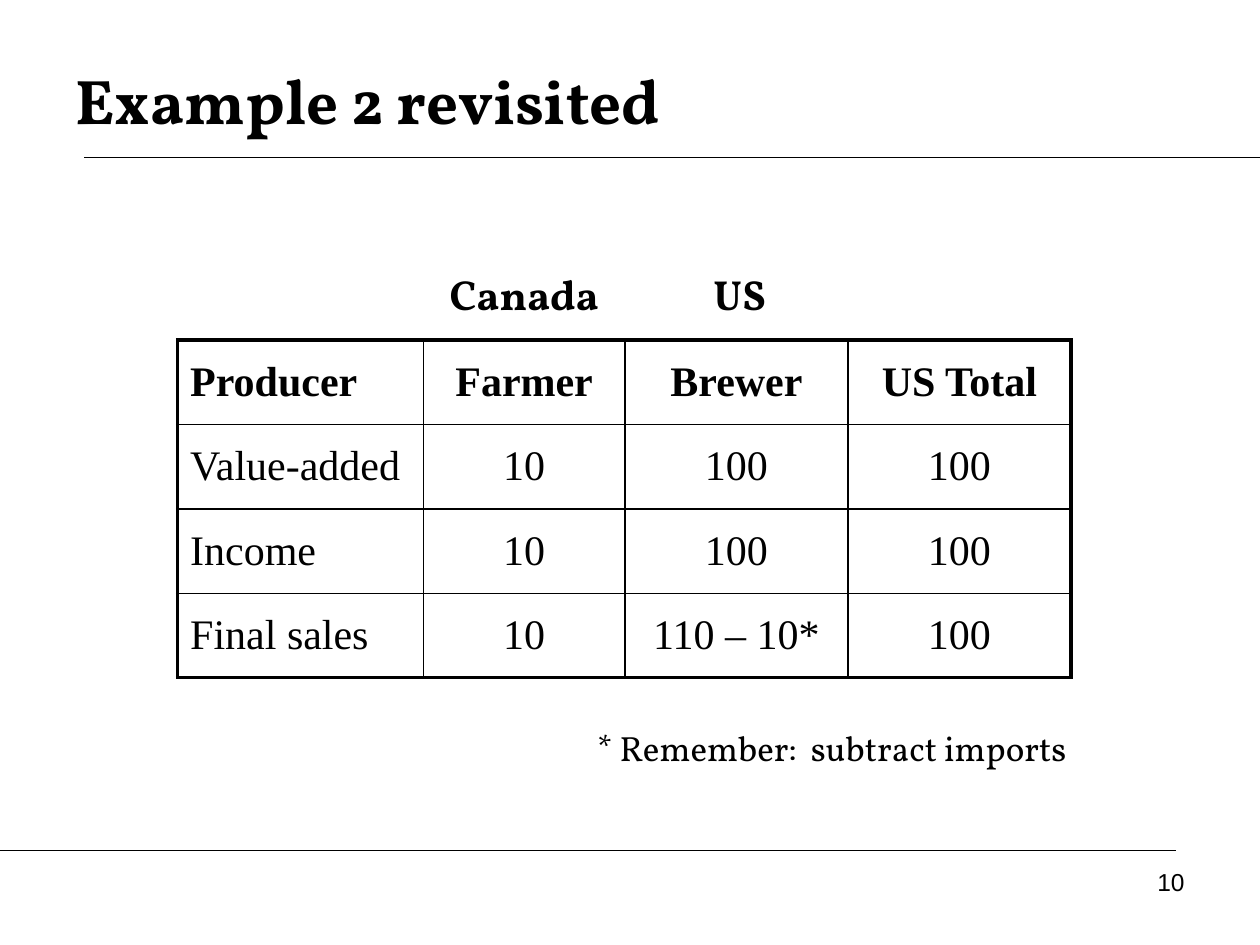
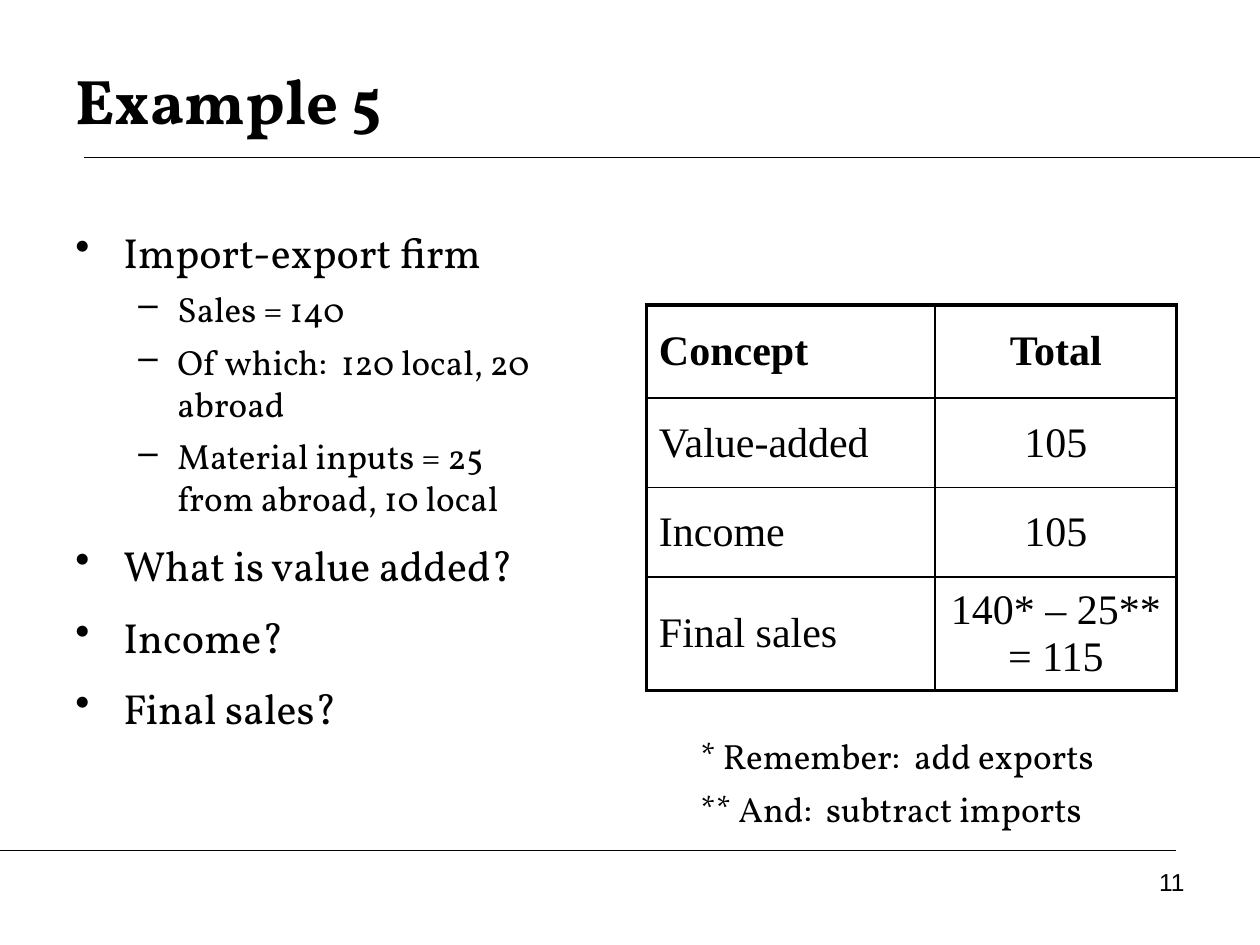
import pptx
import pptx.dml.color
import pptx.enum.shapes
import pptx.enum.text
import pptx.oxml.ns
import pptx.util
from lxml import etree
from pptx.util import Inches

# Content: positions and sizes are in inches
SLIDES = [
    {
        "title": "Example 2 revisited",
        "number": "10",
        "table": {
            "left": 1.41, "top": 2.7,
            "columns": [1.95, 1.6, 1.77, 1.77],
            "rows": [0.67] * 4,
            "cells": [
                ["Producer", "Farmer", "Brewer", "US Total"],
                ["Value-added", "10", "100", "100"],
                ["Income", "10", "100", "100"],
                ["Final sales", "10", "110 – 10*", "100"],
            ],
        },
        "countries": [("Canada", 3.37), ("US", 5.08)],
        "notes": ["* Remember:  subtract imports"],
        "notes_box": (4.64, 5.72, 4.08, 0.44),
    },
    {
        "title": "Example 5",
        "number": "11",
        "bullets": [
            (0, "Import-export firm"),
            (1, "Sales = 140"),
            (1, "Of which:  120 local, 20 abroad"),
            (1, "Material inputs = 25 from abroad, 10 local"),
            (0, "What is value added?"),
            (0, "Income?"),
            (0, "Final sales?"),
        ],
        "table": {
            "left": 5.13, "top": 2.42,
            "columns": [2.29, 1.92],
            "rows": [0.74, 0.71, 0.71, 0.84],
            "cells": [
                ["Concept", "Total"],
                ["Value-added", "105"],
                ["Income", "105"],
                ["Final sales", "140* – 25** = 115"],
            ],
        },
        "notes": ["* Remember:  add exports", "** And:  subtract imports"],
        "notes_box": (5.46, 5.78, 4.08, 0.85),
    },
]

# Shared style
BLACK = pptx.dml.color.RGBColor(0, 0, 0)
TEXT_FONT, TABLE_FONT, NUMBER_FONT = "Vollkorn", "Times New Roman", "Arial"
TITLE_BOX = (0.5, 0.33, 9, 0.92)
BODY_BOX = (0.5, 1.75, 4.08, 4.95)
NUMBER_BOX = (7.17, 6.83, 2.33, 0.52)
RULES = [(0.67, 1.25, 10, 1.25), (0, 6.75, 9.33, 6.75)]
OUTER_BORDER, INNER_BORDER = 2.25, 1
# Per level: bullet, left margin, hanging indent, text size, space before
BULLET_LEVELS = [("•", 0.38, 0.38, 24, 12), ("–", 0.81, 0.31, 20, 6)]

ALIGN = pptx.enum.text.PP_ALIGN
MIDDLE = pptx.enum.text.MSO_ANCHOR.MIDDLE


def add_xml(parent, tag, **attributes):
    return etree.SubElement(parent, pptx.oxml.ns.qn(tag), attributes)


def add_run(paragraph, text, font, size, bold=False):
    run = paragraph.add_run()
    run.text = text
    run.font.name = font
    run.font.size = pptx.util.Pt(size)
    run.font.bold = bold
    run.font.color.rgb = BLACK


def add_frame(slide, box):
    frame = slide.shapes.add_textbox(*map(Inches, box)).text_frame
    frame.word_wrap = True
    return frame


def next_paragraph(frame, index, space_before):
    if index == 0:
        return frame.paragraphs[0]
    paragraph = frame.add_paragraph()
    paragraph.space_before = pptx.util.Pt(space_before)
    return paragraph


def add_label(slide, box, text, font, size, bold=False, align=ALIGN.LEFT):
    frame = add_frame(slide, box)
    frame.paragraphs[0].alignment = align
    add_run(frame.paragraphs[0], text, font, size, bold)
    return frame


def add_base(slide, title, number):
    # Rules, title and page number
    for rule in RULES:
        line = slide.shapes.add_connector(
            pptx.enum.shapes.MSO_CONNECTOR.STRAIGHT, *map(Inches, rule))
        line.line.color.rgb = BLACK
        line.line.width = pptx.util.Pt(0.75)
        add_xml(line._element.spPr, "a:effectLst")
    frame = add_label(slide, TITLE_BOX, title, TEXT_FONT, 36, bold=True)
    frame.vertical_anchor = MIDDLE
    add_label(slide, NUMBER_BOX, number, NUMBER_FONT, 14, align=ALIGN.RIGHT)


def add_bullets(slide, bullets):
    frame = add_frame(slide, BODY_BOX)
    for index, (level, text) in enumerate(bullets):
        bullet, margin, hanging, size, space = BULLET_LEVELS[level]
        paragraph = next_paragraph(frame, index, space)
        paragraph.level = level
        properties = paragraph._p.get_or_add_pPr()
        properties.set("marL", str(Inches(margin)))
        properties.set("indent", str(-Inches(hanging)))
        add_xml(properties, "a:buChar", char=bullet)
        add_run(paragraph, text, TEXT_FONT, size)


def set_borders(cell, widths):
    properties = cell._tc.get_or_add_tcPr()
    for side, width in widths.items():
        border = add_xml(properties, "a:ln" + side, w=str(pptx.util.Pt(width)))
        add_xml(add_xml(border, "a:solidFill"), "a:srgbClr", val=str(BLACK))


def add_grid(slide, left, top, columns, rows, cells):
    table = slide.shapes.add_table(
        len(rows), len(columns), Inches(left), Inches(top),
        Inches(sum(columns)), Inches(sum(rows))).table
    table.first_row = table.horz_banding = False
    for column, width in zip(table.columns, columns):
        column.width = Inches(width)
    for row, height in zip(table.rows, rows):
        row.height = Inches(height)
    for r, texts in enumerate(cells):
        for c, text in enumerate(texts):
            cell = table.cell(r, c)
            outer_sides = {"L": c == 0, "R": c == len(columns) - 1,
                           "T": r == 0, "B": r == len(rows) - 1}
            set_borders(cell, {side: OUTER_BORDER if outer else INNER_BORDER
                               for side, outer in outer_sides.items()})
            cell.fill.background()
            cell.vertical_anchor = MIDDLE
            paragraph = cell.text_frame.paragraphs[0]
            paragraph.alignment = ALIGN.CENTER if c else ALIGN.LEFT
            add_run(paragraph, text, TABLE_FONT, 24, bold=r == 0)


def add_notes(slide, box, notes):
    frame = add_frame(slide, box)
    for index, note in enumerate(notes):
        add_run(next_paragraph(frame, index, 6), note, TEXT_FONT, 20)


def main():
    presentation = pptx.Presentation()
    presentation.slide_width = Inches(10)
    presentation.slide_height = Inches(7.5)
    for content in SLIDES:
        slide = presentation.slides.add_slide(presentation.slide_layouts[6])
        add_base(slide, content["title"], content["number"])
        if "bullets" in content:
            add_bullets(slide, content["bullets"])
        add_grid(slide, **content["table"])
        # Country headings above the table columns
        for country, left in content.get("countries", []):
            add_label(slide, (left, 2.08, 1.58, 0.5), country, TEXT_FONT, 24,
                      bold=True, align=ALIGN.CENTER)
        add_notes(slide, content["notes_box"], content["notes"])
    presentation.save("out.pptx")


if __name__ == "__main__":
    main()
